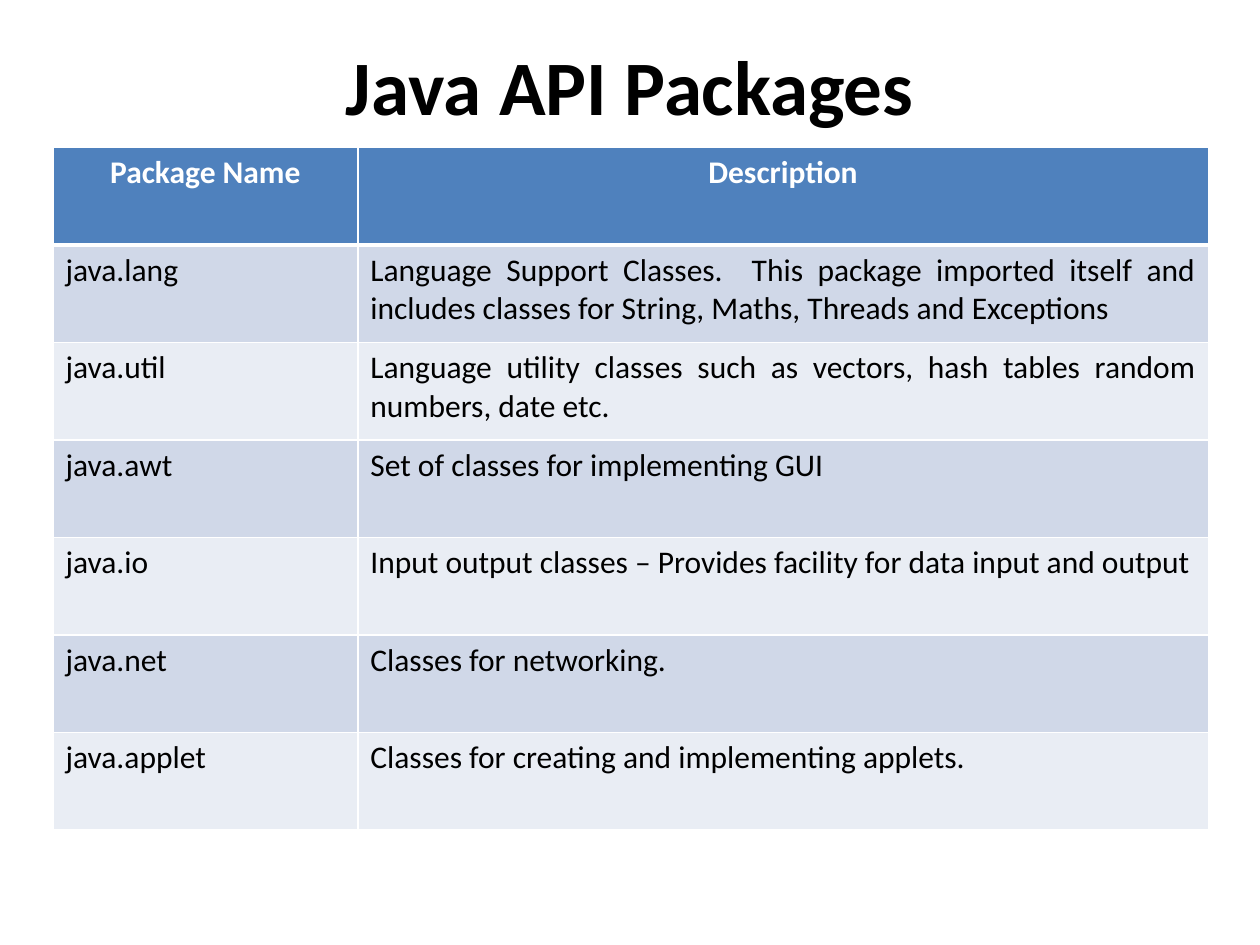
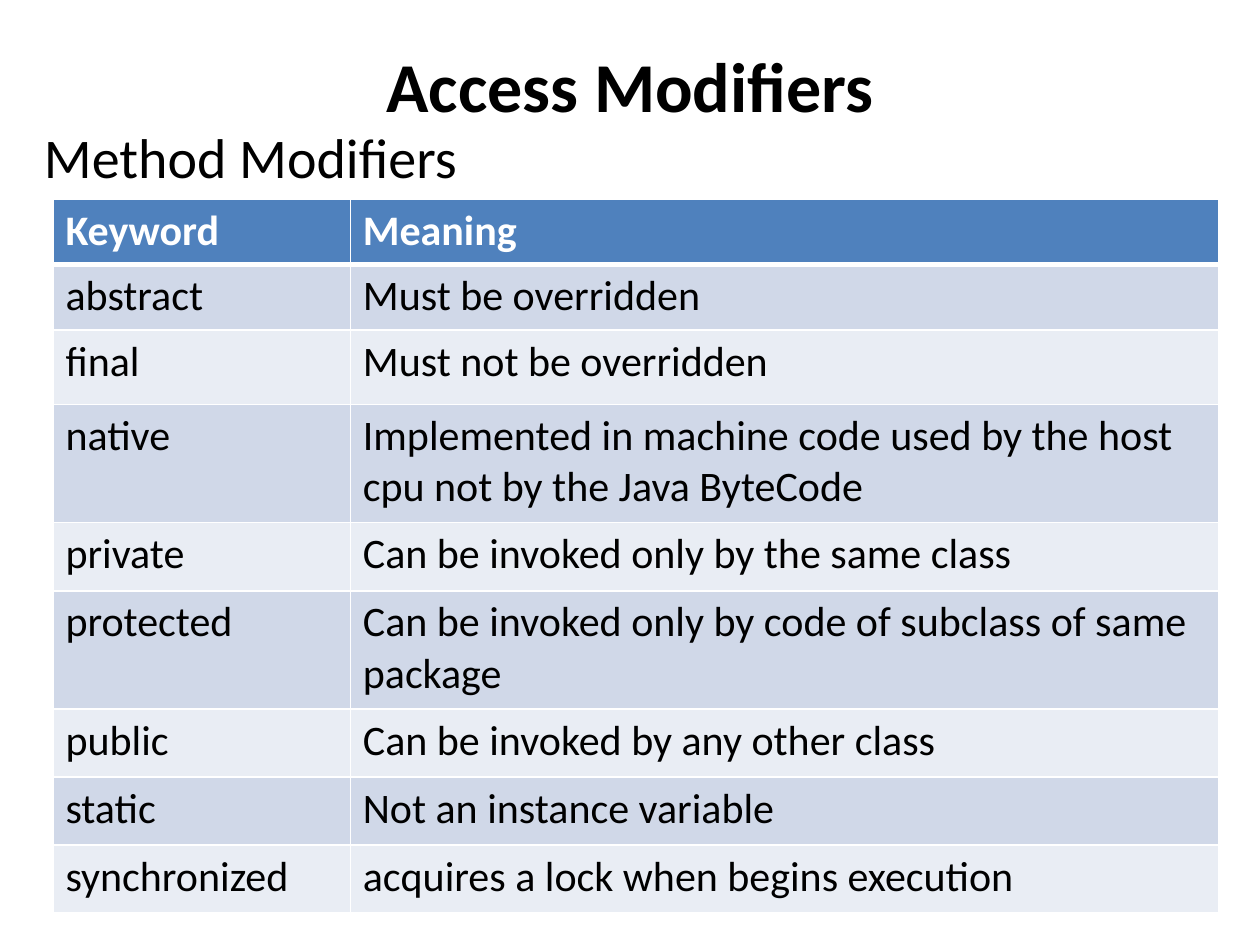
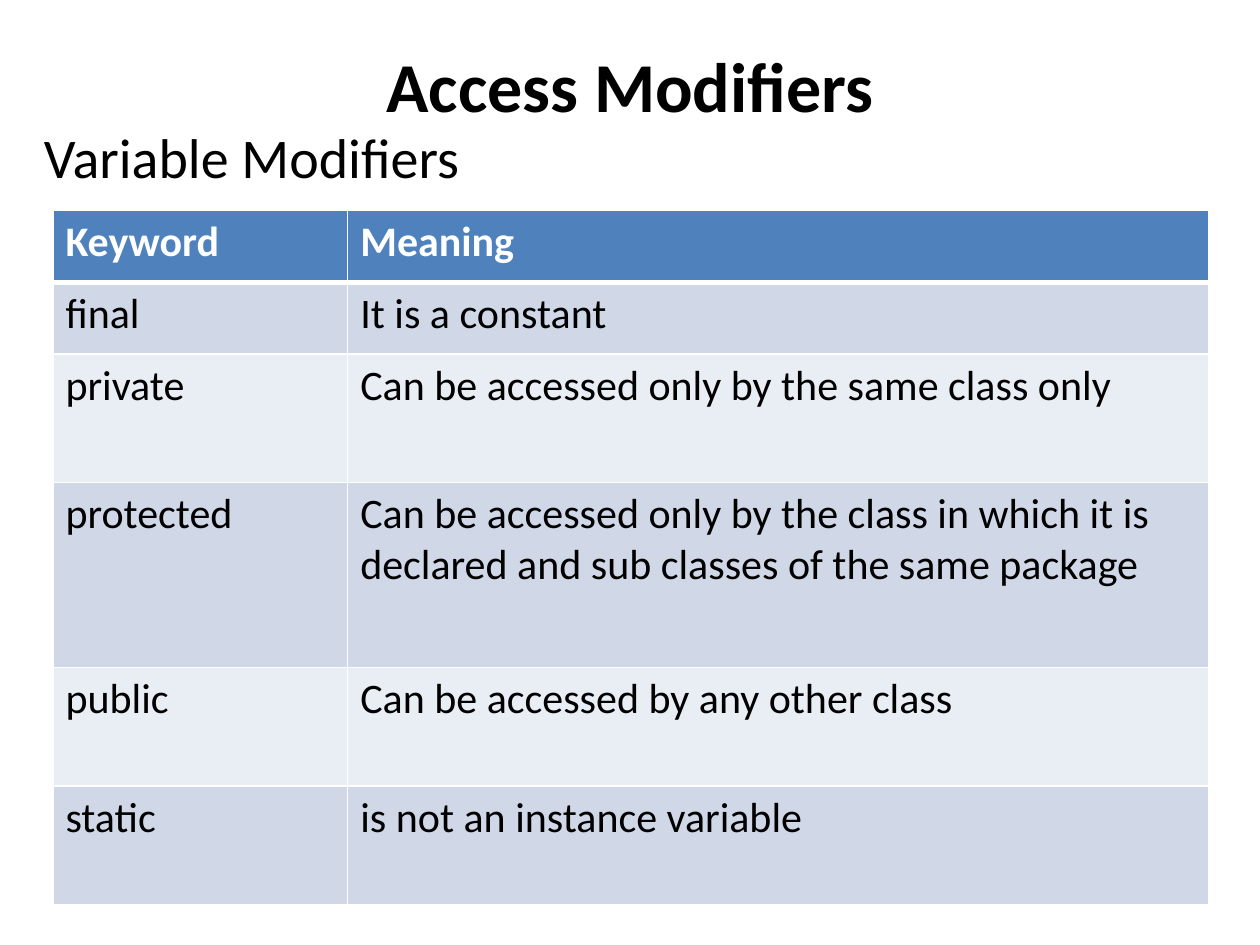
import pptx
import pptx.dml.color
import pptx.enum.text
import pptx.oxml
import pptx.oxml.ns
import pptx.util

Inches = pptx.util.Inches
Pt = pptx.util.Pt
ALIGN = pptx.enum.text.PP_ALIGN
ANCHOR = pptx.enum.text.MSO_ANCHOR
AUTO_SIZE = pptx.enum.text.MSO_AUTO_SIZE

FONT = "Calibri"
COLORS = {
    "text": "000000",
    "header_text": "FFFFFF",
    "header": "4F81BD",
    "band_dark": "D0D8E8",
    "band_light": "E9EDF4",
    "border": "FFFFFF",
}
TITLE_BOX = (0, 0.17, 10, 1)
SUBTITLE_BOX = (0.25, 0.92, 9.58, 0.64)
TITLE_ONLY = 5

PACKAGES = [
    ("Package Name", "Description"),
    ("java.lang", "Language Support Classes.  This package imported itself and "
                  "includes classes for String, Maths, Threads and Exceptions"),
    ("java.util", "Language utility classes such as vectors, hash tables random "
                  "numbers, date etc."),
    ("java.awt", "Set of classes for implementing GUI"),
    ("java.io", "Input output classes – Provides facility for data input and output"),
    ("java.net", "Classes for networking."),
    ("java.applet", "Classes for creating and implementing applets."),
]
METHOD_MODIFIERS = [
    ("Keyword", "Meaning"),
    ("abstract", "Must be overridden"),
    ("final", "Must not be overridden"),
    ("native", "Implemented in machine code used by the host cpu not by the Java ByteCode"),
    ("private", "Can be invoked only by the same class"),
    ("protected", "Can be invoked only by code of subclass of same package"),
    ("public", "Can be invoked by any other class"),
    ("static", "Not an instance variable"),
    ("synchronized", "acquires a lock when begins execution"),
]
VARIABLE_MODIFIERS = [
    ("Keyword", "Meaning"),
    ("final", "It is a constant"),
    ("private", "Can be accessed only by the same class only"),
    ("protected", "Can be accessed only by the class in which it is declared and "
                  "sub classes of the same package"),
    ("public", "Can be accessed by any other class"),
    ("static", "is not an instance variable"),
]


def write(frame, text, size, color, bold=False, align=ALIGN.LEFT):
    """Fill a text frame with one paragraph in the shared font."""
    frame.text = text
    para = frame.paragraphs[0]
    para.alignment = align
    para.font.name = FONT
    para.font.size = Pt(size)
    para.font.bold = bold
    para.font.color.rgb = pptx.dml.color.RGBColor.from_string(COLORS[color])


def add_page(deck, title, size):
    page = deck.slides.add_slide(deck.slide_layouts[TITLE_ONLY])
    box = page.shapes.title
    box.left, box.top, box.width, box.height = map(Inches, TITLE_BOX)
    write(box.text_frame, title, size, "text", bold=True, align=ALIGN.CENTER)
    box.text_frame.vertical_anchor = ANCHOR.MIDDLE
    box.text_frame.auto_size = AUTO_SIZE.NONE
    return page


def add_subtitle(page, text):
    box = page.shapes.add_textbox(*map(Inches, SUBTITLE_BOX))
    box.text_frame.word_wrap = True
    box.text_frame.auto_size = AUTO_SIZE.SHAPE_TO_FIT_TEXT
    write(box.text_frame, text, 32, "text", align=ALIGN.JUSTIFY)


def set_borders(cell, top, bottom):
    """Draw the cell's edges; top and bottom widths are in points."""
    properties = cell._tc.get_or_add_tcPr()
    edges = (("lnL", 1), ("lnR", 1), ("lnT", top), ("lnB", bottom))
    for position, (tag, width) in enumerate(edges):
        properties.insert(position, pptx.oxml.parse_xml(
            f'<a:{tag} {pptx.oxml.ns.nsdecls("a")} w="{Pt(width)}">'
            f'<a:solidFill><a:srgbClr val="{COLORS["border"]}"/></a:solidFill>'
            f'</a:{tag}>'))


def add_banded_table(page, left, top, columns, heights, rows, size,
                     header_align=ALIGN.LEFT, justified_rows=()):
    table = page.shapes.add_table(
        len(rows), len(columns), Inches(left), Inches(top),
        Inches(sum(columns)), Inches(sum(heights))).table
    for column, width in zip(table.columns, columns):
        column.width = Inches(width)

    for row_index, (texts, height) in enumerate(zip(rows, heights)):
        table.rows[row_index].height = Inches(height)
        is_header = row_index == 0
        band = "band_dark" if row_index % 2 else "band_light"
        for column_index, text in enumerate(texts):
            cell = table.cell(row_index, column_index)
            cell.fill.solid()
            cell.fill.fore_color.rgb = pptx.dml.color.RGBColor.from_string(
                COLORS["header" if is_header else band])
            set_borders(cell, top=3 if row_index == 1 else 1,
                        bottom=3 if is_header else 1)
            align = header_align if is_header else ALIGN.LEFT
            if column_index == 1 and row_index in justified_rows:
                align = ALIGN.JUSTIFY
            write(cell.text_frame, text, size,
                  "header_text" if is_header else "text", is_header, align)


def add_packages_page(deck):
    page = add_page(deck, "Java API Packages", 44)
    add_banded_table(page, 0.42, 1.17, (2.42, 6.75), [5.42 / len(PACKAGES)] * len(PACKAGES),
                     PACKAGES, 18, ALIGN.CENTER, justified_rows=(1, 2))


def add_modifiers_page(deck, subtitle, top, columns, heights, rows):
    page = add_page(deck, "Access Modifiers", 40)
    add_subtitle(page, subtitle)
    add_banded_table(page, 0.42, top, columns, heights, rows, 24)


def main():
    deck = pptx.Presentation()
    deck.slide_width, deck.slide_height = Inches(10), Inches(7.5)
    add_packages_page(deck)
    add_modifiers_page(deck, "Method Modifiers", 1.58, (2.36, 6.89),
                       (0.52, 0.52, 0.59, 0.94, 0.54, 0.94, 0.54, 0.54, 0.54),
                       METHOD_MODIFIERS)
    add_modifiers_page(deck, "Variable Modifiers", 1.67, (2.34, 6.83),
                       (0.57, 0.57, 1.02, 1.47, 0.94, 0.94), VARIABLE_MODIFIERS)
    deck.save("out.pptx")


if __name__ == "__main__":
    main()
